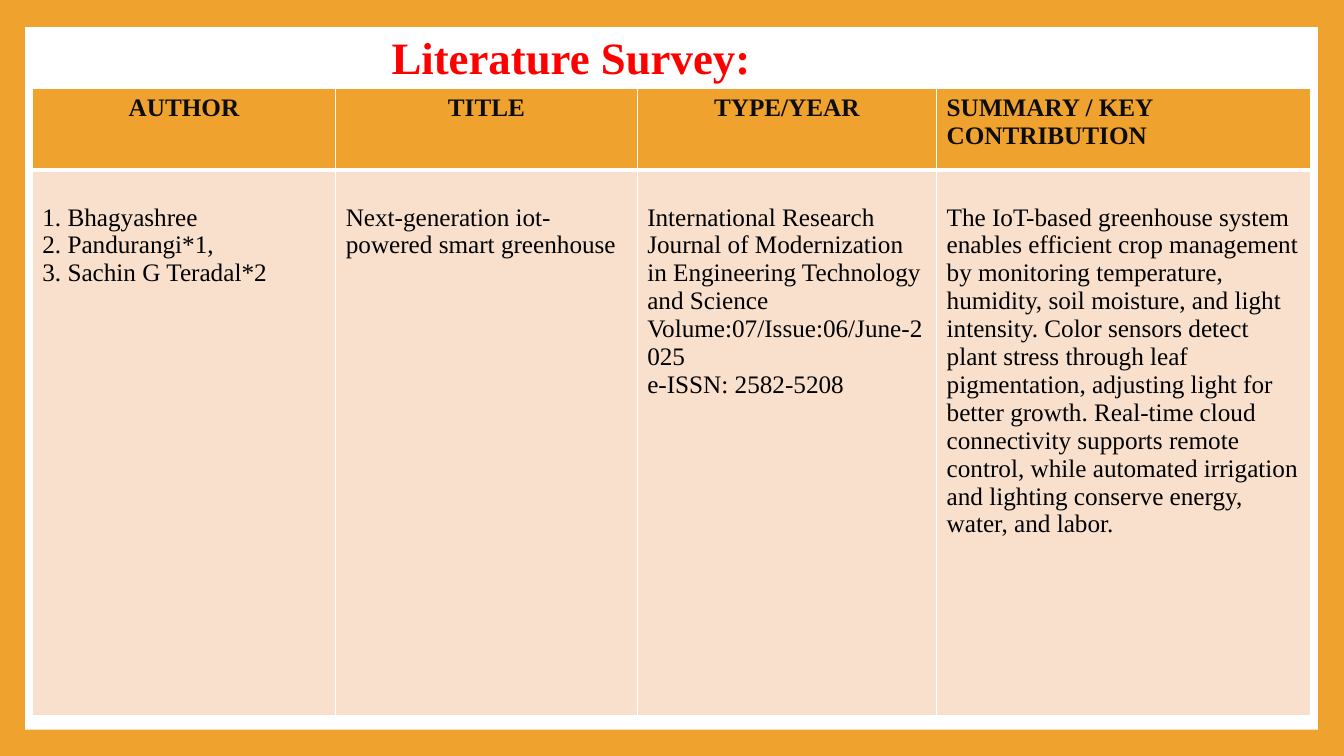
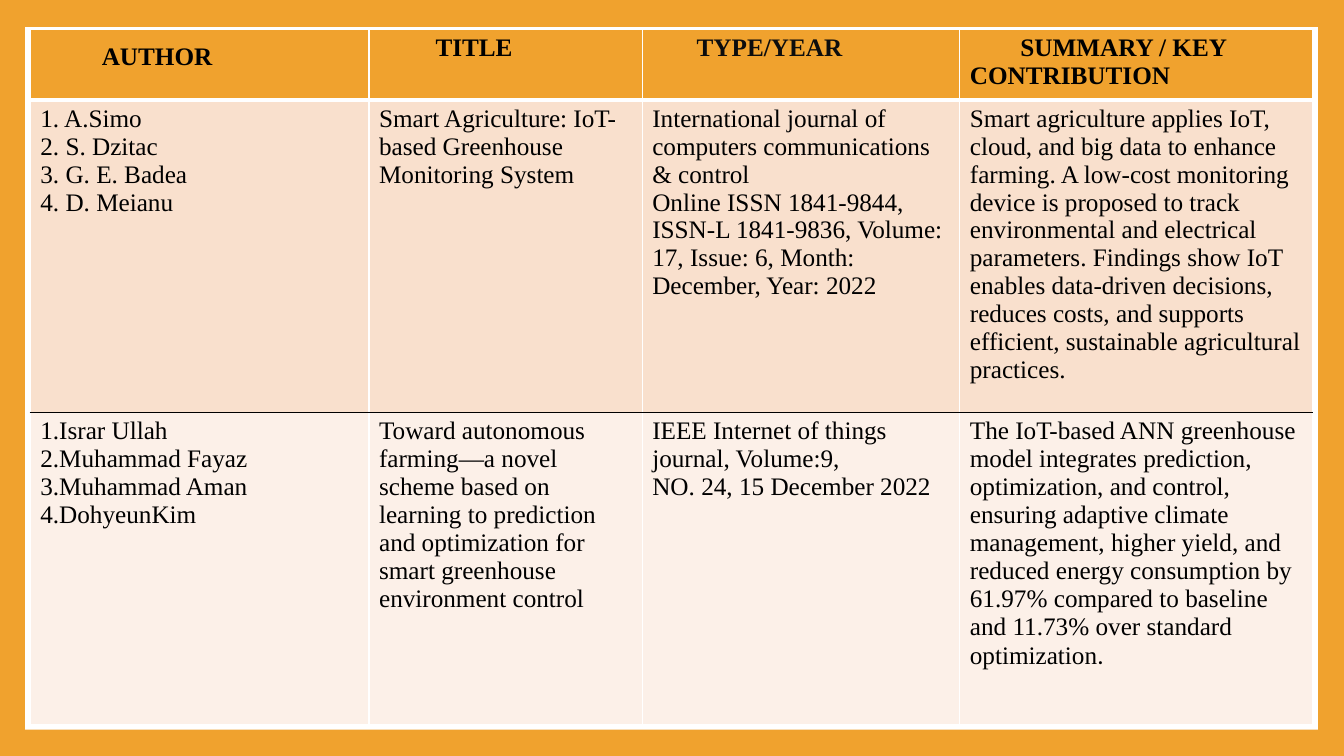
from dataclasses import dataclass

from lxml.etree import SubElement
from pptx import Presentation
from pptx.dml.color import RGBColor
from pptx.enum.shapes import MSO_SHAPE as Shape
from pptx.enum.text import MSO_ANCHOR as Anchor, MSO_AUTO_SIZE as AutoSize, PP_ALIGN as Align
from pptx.oxml.ns import qn
from pptx.util import Inches, Pt


@dataclass(frozen=True)
class Theme:
    accent: str = "F0A22E"
    white: str = "FFFFFF"
    black: str = "000000"
    heading: str = "0D0D0D"
    title: str = "FF0000"
    bands: tuple = ("F9E0CD", "FCF0E8")
    font: str = "Times New Roman"
    title_size: int = 32
    text_size: int = 18
    thin: int = 1
    thick: int = 3


THEME = Theme()
WIDTH, HEIGHT = 13.33, 7.5
PANEL = (0.25, 0.27, 12.82, 6.97)
TITLE_AREA = (2.33, 0.24, 6.67, 0.64)
TITLE_ONLY, BLANK = 5, 6

# Each heading is a text with its format; each body cell is a list of paragraphs,
# and a paragraph is a string or a list of (text, font) pairs.
SURVEYS = [
    {
        "title": "Literature Survey:",
        "origin": (0.32, 0.88),
        "columns": (3.01, 2.99, 2.97, 3.71),
        "rows": (0.81, 5.41),
        "body_top": 0.33,
        "headings": [
            ("AUTHOR", {"align": Align.CENTER}),
            ("TITLE", {"align": Align.CENTER}),
            ("TYPE/YEAR", {"align": Align.CENTER}),
            ("SUMMARY / KEY CONTRIBUTION", {}),
        ],
        "papers": [
            [
                ["1. Bhagyashree", "2. Pandurangi*1,", "3. Sachin G Teradal*2"],
                ["Next-generation iot-powered smart greenhouse"],
                ["International Research Journal of Modernization in Engineering "
                 "Technology and Science Volume:07/Issue:06/June-2025",
                 "e-ISSN: 2582-5208"],
                ["The IoT-based greenhouse system enables efficient crop management by "
                 "monitoring temperature, humidity, soil moisture, and light intensity. "
                 "Color sensors detect plant stress through leaf pigmentation, adjusting "
                 "light for better growth. Real-time cloud connectivity supports remote "
                 "control, while automated irrigation and lighting conserve energy, "
                 "water, and labor."],
            ],
        ],
    },
    {
        "title": None,
        "origin": (0.3, 0.29),
        "columns": (3.36, 2.71, 3.15, 3.5),
        "rows": (0.7, 3.1, 3.1),
        "body_top": 0.05,
        "headings": [
            ("AUTHOR", {"indent": 0.61, "top": 0.14, "color": THEME.black}),
            ("TITLE", {"indent": 0.56, "color": THEME.black}),
            ("TYPE/YEAR", {"indent": 0.44}),
            ("SUMMARY / KEY CONTRIBUTION", {"indent": 0.5, "color": THEME.black}),
        ],
        "papers": [
            [
                ["1. A.Simo", "2. S. Dzitac", "3. G. E. Badea", "4. D. Meianu"],
                ["Smart Agriculture: IoT-based Greenhouse Monitoring System"],
                ["International journal of computers communications & control",
                 "Online ISSN 1841-9844, ISSN-L 1841-9836, Volume: 17, Issue: 6, "
                 "Month: December, Year: 2022"],
                ["Smart agriculture applies IoT, cloud, and big data to enhance farming. "
                 "A low-cost monitoring device is proposed to track environmental and "
                 "electrical parameters. Findings show IoT enables data-driven decisions, "
                 "reduces costs, and supports efficient, sustainable agricultural "
                 "practices."],
            ],
            [
                ["1.Israr Ullah", "2.Muhammad Fayaz", "3.Muhammad Aman", "4.DohyeunKim"],
                ["Toward autonomous farming—a novel scheme based on learning to "
                 "prediction and optimization for smart greenhouse environment control"],
                ["IEEE Internet of things journal, Volume:9,", "NO. 24, 15 December 2022"],
                [[("The IoT-based ANN greenhouse model integrates prediction, "
                   "optimization, and control, ensuring adaptive climate management, "
                   "higher yield, and reduced energy consumption by 61.97% compared to "
                   "baseline and 11.73% over standard optimization", THEME.font),
                  (".", "Calibri")]],
            ],
        ],
    },
]


def rgb(color):
    return RGBColor.from_string(color)


def inches(values):
    return [Inches(value) for value in values]


def write(frame, paragraphs, *, size=THEME.text_size, color=THEME.black, bold=False,
          align=Align.LEFT, indent=0):
    frame.word_wrap = True
    for number, content in enumerate(paragraphs):
        paragraph = frame.add_paragraph() if number else frame.paragraphs[0]
        paragraph.alignment = align
        if indent:
            paragraph._p.get_or_add_pPr().set("indent", str(Inches(indent)))
        runs = [(content, THEME.font)] if isinstance(content, str) else content
        for text, font_name in runs:
            run = paragraph.add_run()
            run.text = text
            run.font.name, run.font.size, run.font.bold = font_name, Pt(size), bold
            run.font.color.rgb = rgb(color)


def rule_at(edge, row_count):
    """Colour and weight of the horizontal rule above row number `edge`."""
    if edge == 1:
        return THEME.white, THEME.thick
    if edge in (0, row_count):
        return THEME.white, THEME.thin
    return THEME.black, THEME.thin


def style_cell(cell, row, row_count):
    side = (THEME.white, THEME.thin)
    borders = {"lnL": side, "lnR": side, "lnT": rule_at(row, row_count),
               "lnB": rule_at(row + 1, row_count)}
    properties = cell._tc.get_or_add_tcPr()
    for tag, (color, weight) in borders.items():
        line = SubElement(properties, qn(f"a:{tag}"), w=str(Pt(weight)))
        SubElement(SubElement(line, qn("a:solidFill")), qn("a:srgbClr"), val=color)
    cell.fill.solid()
    band = THEME.bands[(row - 1) % len(THEME.bands)] if row else THEME.accent
    cell.fill.fore_color.rgb = rgb(band)


def add_survey_table(slide, survey):
    columns, rows = survey["columns"], survey["rows"]
    table = slide.shapes.add_table(
        len(rows), len(columns), *inches((*survey["origin"], sum(columns), sum(rows)))).table
    table.horz_banding = False
    for column, width in zip(table.columns, inches(columns)):
        column.width = width
    for row, height in zip(table.rows, inches(rows)):
        row.height = height

    for column, (heading, options) in enumerate(survey["headings"]):
        cell = table.cell(0, column)
        style_cell(cell, 0, len(rows))
        layout = {"color": THEME.heading, "bold": True, **options}
        cell.margin_top = Inches(layout.pop("top", 0.05))
        write(cell.text_frame, [heading], **layout)
    for row, paper in enumerate(survey["papers"], start=1):
        for column, paragraphs in enumerate(paper):
            cell = table.cell(row, column)
            style_cell(cell, row, len(rows))
            cell.margin_top = Inches(survey["body_top"])
            write(cell.text_frame, paragraphs)


def add_title(slide, text):
    title = slide.shapes.title
    title.left, title.top, title.width, title.height = inches(TITLE_AREA)
    frame = title.text_frame
    frame.auto_size, frame.vertical_anchor = AutoSize.NONE, Anchor.TOP
    write(frame, [text], size=THEME.title_size, color=THEME.title, bold=True,
          align=Align.CENTER)


def dress_master(master, slide):
    """Give the master its background and white panel; the panel is drawn on a slide first."""
    master.background.fill.solid()
    master.background.fill.fore_color.rgb = rgb(THEME.accent)
    panel = slide.shapes.add_shape(Shape.RECTANGLE, *inches(PANEL))
    panel.shadow.inherit = False
    panel.fill.solid()
    panel.fill.fore_color.rgb = rgb(THEME.white)
    panel.line.fill.background()
    master.element.cSld.spTree.insert(2, panel.element)


def main():
    deck = Presentation()
    deck.slide_width, deck.slide_height = inches((WIDTH, HEIGHT))
    for number, survey in enumerate(SURVEYS):
        layout = TITLE_ONLY if survey["title"] else BLANK
        slide = deck.slides.add_slide(deck.slide_layouts[layout])
        if number == 0:
            dress_master(deck.slide_master, slide)
        if survey["title"]:
            add_title(slide, survey["title"])
        add_survey_table(slide, survey)
    deck.save("out.pptx")


if __name__ == "__main__":
    main()
